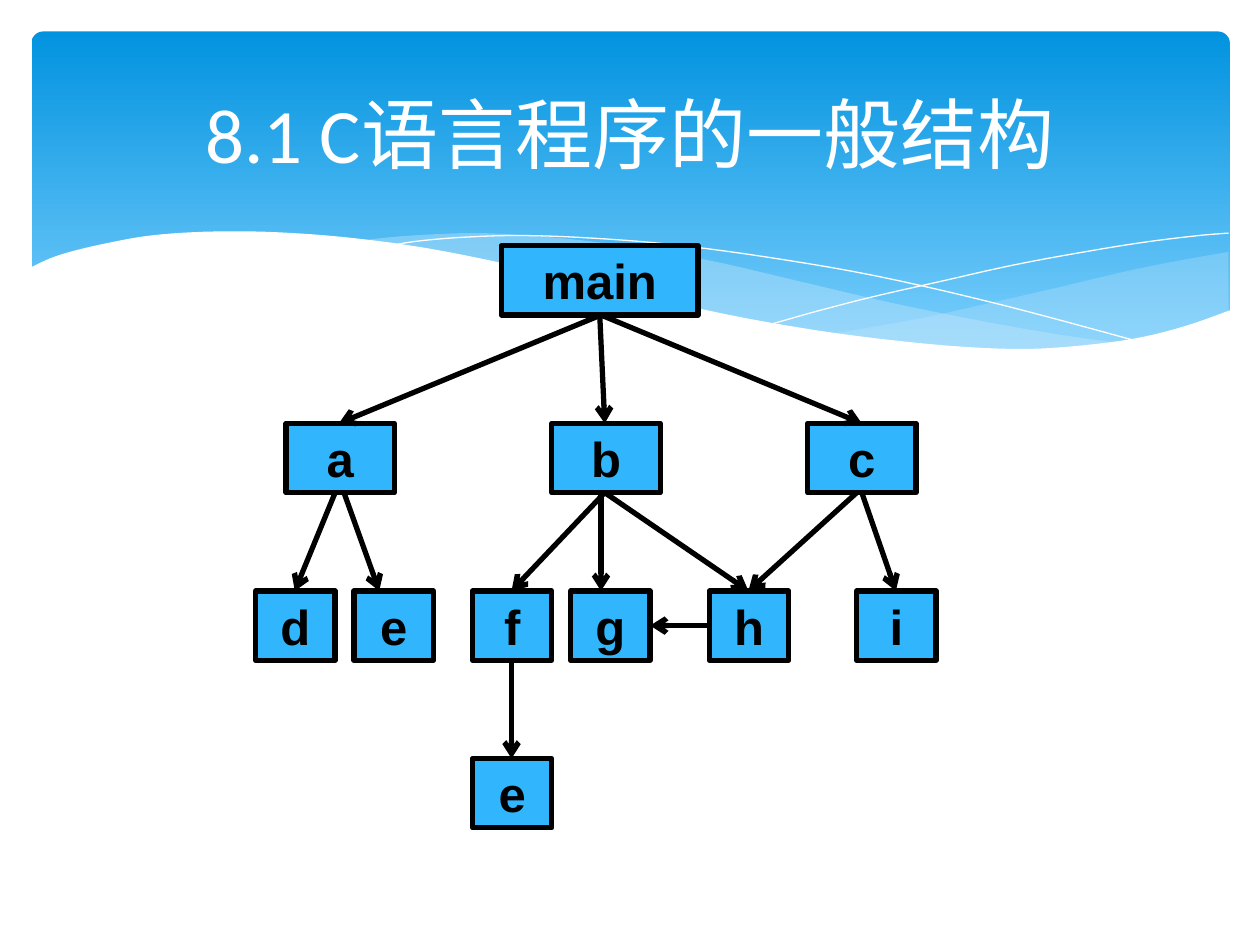
from lxml.etree import SubElement
from pptx import Presentation
from pptx.dml.color import RGBColor
from pptx.enum.shapes import MSO_CONNECTOR, MSO_SHAPE
from pptx.enum.text import MSO_ANCHOR, PP_ALIGN
from pptx.oxml.ns import qn
from pptx.util import Inches, Pt

BLACK = RGBColor(0x00, 0x00, 0x00)
WHITE = RGBColor(0xFF, 0xFF, 0xFF)
NODE_BLUE = RGBColor(0x31, 0xB6, 0xFD)
BANNER_TOP = RGBColor(0x02, 0x93, 0xE0)
BANNER_BOTTOM = RGBColor(0x83, 0xD3, 0xFE)
WAVE_BLUE = RGBColor(0xC6, 0xE7, 0xFC)

RIGHT_WAVE_TOP = [
    (9.5, 1.75), (9.1, 1.82), (8.66, 1.91), (8.07, 2.05), (7.54, 2.17),
    (7.04, 2.28), (6.36, 2.4)]
RIGHT_WAVE_BOTTOM = [
    (6.36, 2.4), (6.8, 2.46), (7.2, 2.5), (7.67, 2.52), (8.1, 2.52),
    (8.56, 2.48), (8.96, 2.4), (9.24, 2.32), (9.5, 2.22)]
MIDDLE_WAVE_TOP = [
    (8.68, 2.48), (8.12, 2.4), (7.5, 2.29), (6.81, 2.15), (6.04, 1.97),
    (5.44, 1.83), (4.89, 1.73), (4.39, 1.66), (3.95, 1.62), (3.55, 1.6),
    (3.19, 1.61), (2.88, 1.63), (2.61, 1.66)]
MIDDLE_WAVE_BOTTOM = [
    (2.61, 1.66), (3.17, 1.74), (3.79, 1.86), (4.66, 2.07), (5.41, 2.23),
    (6.09, 2.36), (6.7, 2.45), (7.23, 2.51), (7.71, 2.54), (8.13, 2.53),
    (8.42, 2.51), (8.68, 2.48)]
FALLING_LINE = [
    (2.84, 1.7), (3.1, 1.66), (3.49, 1.63), (3.91, 1.62), (4.44, 1.64),
    (5.07, 1.69), (5.83, 1.79), (6.7, 1.94), (7.7, 2.17), (8.82, 2.47)]
RISING_LINE = [
    (5.88, 2.32), (6.27, 2.21), (6.7, 2.1), (7.23, 1.98), (7.81, 1.85),
    (8.41, 1.74), (8.85, 1.67), (9.26, 1.62), (9.5, 1.6)]
WHITE_EDGE = [
    (9.52, 2.21), (9.15, 2.34), (8.74, 2.44), (8.25, 2.5), (7.84, 2.52),
    (7.36, 2.5), (6.83, 2.45), (6.22, 2.37), (5.54, 2.25), (4.78, 2.08),
    (3.93, 1.88), (3.14, 1.72), (2.46, 1.63), (1.86, 1.59), (1.36, 1.59),
    (0.94, 1.62), (0.6, 1.68), (0.34, 1.74), (0.15, 1.8), (-0.02, 1.88)]
WHITE_CORNERS = [(-0.02, 3.04), (9.52, 3.04)]

NODE_HEIGHT = 0.55
LEVEL_TOPS = [0, 1.41, 2.74, 4.07]
NODES = [
    (0, 1.56, [("main", 1.95)]),
    (1, 0.86, [("a", 0.24), ("b", 2.35), ("c", 4.38)]),
    (2, 0.63, [("d", 0), ("e", 0.78), ("f", 1.72), ("g", 2.5), ("h", 3.6), ("i", 4.77)]),
    (3, 0.63, [("e", 1.72)]),
]
CALLS = [
    (0, [(2.74, 0.66), (2.73, 2.77), (2.74, 4.81)]),
    (1, [(0.63, 0.31), (0.7, 0.98), (2.77, 2.03), (2.74, 2.74),
         (2.77, 3.91), (4.77, 3.91), (4.81, 5.08)]),
    (2, [(2.03, 2.03)]),
]


def smooth_curve(points, steps=5):
    padded = [points[0], *points, points[-1]]
    curve = [points[0]]
    for before, start, end, after in zip(padded, padded[1:], padded[2:], padded[3:]):
        for step in range(1, steps + 1):
            t = step / steps
            curve.append(tuple(
                0.5 * (2 * s + (e - b) * t + (2 * b - 5 * s + 4 * e - a) * t ** 2
                       + (3 * s - b - 3 * e + a) * t ** 3)
                for b, s, e, a in zip(before, start, end, after)))
    return curve


def add_outline(page, box, points, closed):
    left, top = box[:2]
    places = [(left + Inches(x), top + Inches(y)) for x, y in points]
    builder = page.shapes.build_freeform(*places[0], scale=1.0)
    builder.add_line_segments(places[1:], close=closed)
    shape = builder.convert_to_shape()
    shape.shadow.inherit = False
    return shape


def add_area(page, box, points, color, opacity=100):
    area = add_outline(page, box, points, True)
    area.fill.solid()
    area.fill.fore_color.rgb = color
    area.line.fill.background()
    if opacity < 100:
        tone = area.fill._xPr.find(qn("a:solidFill"))[0]
        SubElement(tone, qn("a:alpha")).set("val", str(opacity * 1000))


def add_hairline(page, box, points):
    hairline = add_outline(page, box, smooth_curve(points), False)
    hairline.fill.background()
    hairline.line.color.rgb = WHITE
    hairline.line.width = Pt(0)


def draw_banner(page, box):
    panel = page.shapes.add_shape(MSO_SHAPE.ROUNDED_RECTANGLE, *box)
    panel.adjustments[0] = 0.034
    panel.shadow.inherit = False
    panel.line.fill.background()
    panel.fill.gradient()
    panel.fill.gradient_angle = 270
    for stop, color in zip(panel.fill.gradient_stops, (BANNER_TOP, BANNER_BOTTOM)):
        stop.color.rgb = color
    for upper, lower, opacity in (
            (RIGHT_WAVE_TOP, RIGHT_WAVE_BOTTOM, 29),
            (MIDDLE_WAVE_TOP, MIDDLE_WAVE_BOTTOM, 40)):
        add_area(page, box, smooth_curve(upper) + smooth_curve(lower), WAVE_BLUE, opacity)
    for points in (FALLING_LINE, RISING_LINE):
        add_hairline(page, box, points)
    add_area(page, box, smooth_curve(WHITE_EDGE) + WHITE_CORNERS, WHITE)


def write_text(frame, text, font, size, color, bold=False):
    frame.vertical_anchor = MSO_ANCHOR.MIDDLE
    para = frame.paragraphs[0]
    para.alignment = PP_ALIGN.CENTER
    span = para.add_run()
    span.text = text
    span.font.name = font
    span.font.size = Pt(size)
    span.font.bold = bold
    span.font.color.rgb = color


def draw_title(page, box):
    frame = page.shapes.add_textbox(*box).text_frame
    frame.word_wrap = True
    write_text(frame, "8.1 C语言程序的一般结构", "Calibri", 44, WHITE)


def add_node(page, name, left, top, width):
    node = page.shapes.add_shape(
        MSO_SHAPE.FLOWCHART_PROCESS, left, top, Inches(width), Inches(NODE_HEIGHT))
    node.shadow.inherit = False
    node.fill.solid()
    node.fill.fore_color.rgb = NODE_BLUE
    node.line.color.rgb = BLACK
    node.line.width = Pt(3)
    frame = node.text_frame
    frame.word_wrap = False
    frame.margin_left = frame.margin_right = frame.margin_top = frame.margin_bottom = 0
    write_text(frame, name, "Arial", 28, BLACK, True)


def add_arrow(page, box, start, end):
    left, top = box[:2]
    arrow = page.shapes.add_connector(
        MSO_CONNECTOR.STRAIGHT,
        left + Inches(start[0]), top + Inches(start[1]),
        left + Inches(end[0]), top + Inches(end[1]))
    arrow.line.color.rgb = BLACK
    arrow.line.width = Pt(3)
    SubElement(arrow.line._get_or_add_ln(), qn("a:tailEnd")).set("type", "arrow")
    SubElement(arrow._element.spPr, qn("a:effectLst"))


def draw_call_tree(page, box):
    left, top = box[:2]
    for level, width, names in NODES:
        for name, x in names:
            add_node(page, name, left + Inches(x), top + Inches(LEVEL_TOPS[level]), width)
    for level, pairs in CALLS:
        for start, end in pairs:
            add_arrow(page, box, (start, LEVEL_TOPS[level] + NODE_HEIGHT),
                      (end, LEVEL_TOPS[level + 1]))
    middle = LEVEL_TOPS[2] + NODE_HEIGHT / 2
    add_arrow(page, box, (3.6, middle), (3.13, middle))


def main():
    deck = Presentation()
    deck.slide_width, deck.slide_height = Inches(10), Inches(7.5)
    page = deck.slides.add_slide(deck.slide_layouts[6])
    draw_banner(page, (Inches(0.25), Inches(0.25), Inches(9.51), Inches(2.7)))
    draw_call_tree(page, (Inches(2.03), Inches(1.95), Inches(5.4), Inches(4.62)))
    draw_title(page, (Inches(0.5), Inches(0.37), Inches(9), Inches(1.37)))
    deck.save("out.pptx")


if __name__ == "__main__":
    main()
